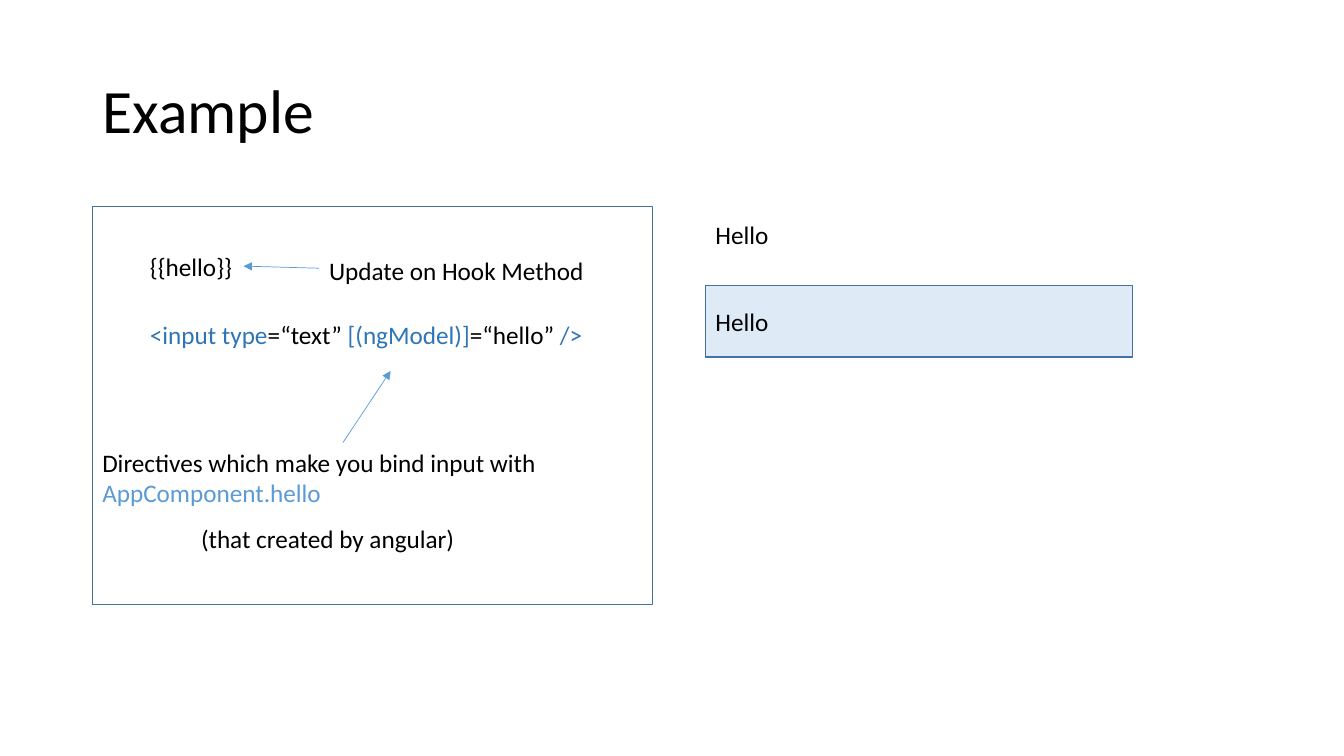
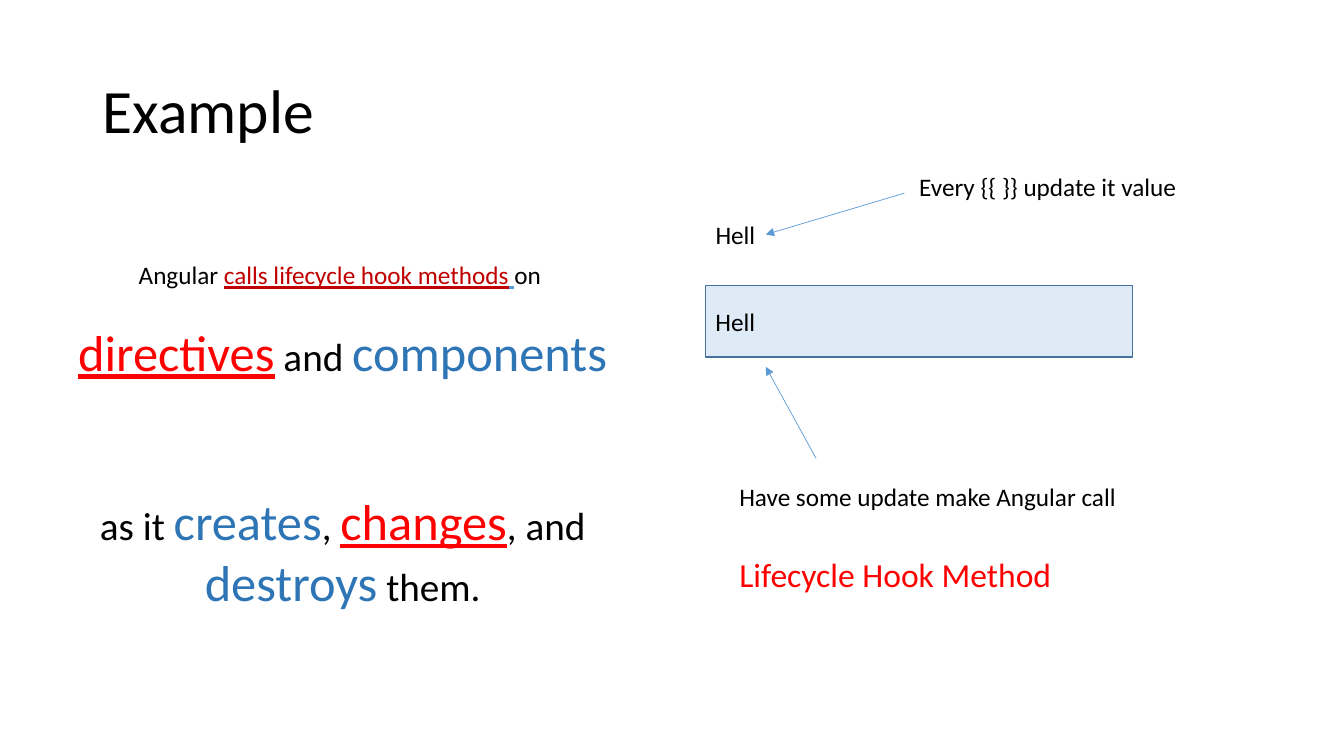
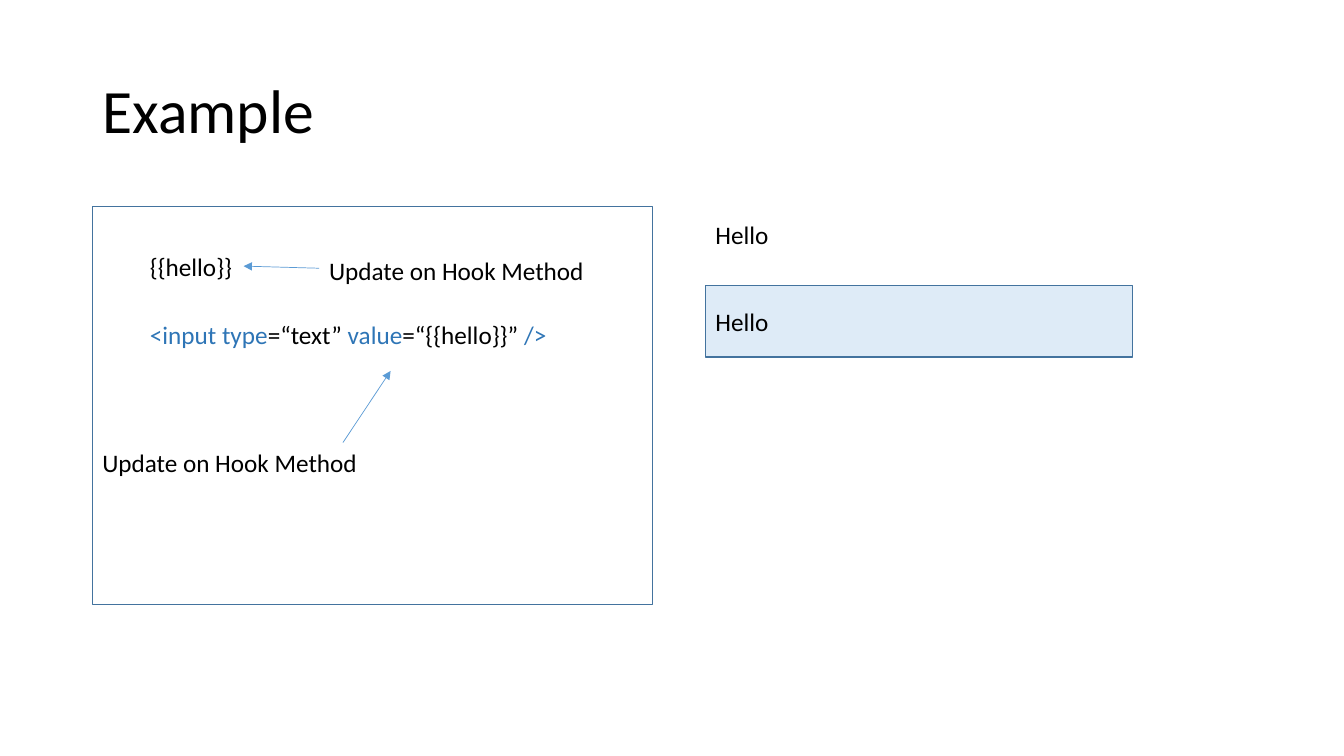
import pptx
import pptx.util
import pptx.dml.color
import pptx.enum.shapes
import pptx.enum.text
import pptx.oxml
import pptx.oxml.ns

Pt = pptx.util.Pt
ALIGN = pptx.enum.text.PP_ALIGN
ANCHOR = pptx.enum.text.MSO_ANCHOR
FIT = pptx.enum.text.MSO_AUTO_SIZE
FONT = "Calibri"
BLACK, BLUE, SKY, PALE = "000000", "2E75B6", "5B9BD5", "DEEBF7"
EDGE, RED, DARK = "43739E", "FF0000", "C00000"
LINE = 29
TITLE = (66, 29, 828, 104)
PANEL = (66, 147.6, 400, 284.4)
RESULT = (504, 153, 305, 102)
CLAIM = (21.6, 182, 446.4, 259)


def paint(form, tone):
    """Give a fill, line or font its colour from a hex string."""
    form.rgb = pptx.dml.color.RGBColor.from_string(tone)


def style(item, form):
    """Set each attribute of an item from a dict."""
    for name, value in form.items():
        setattr(item, name, value)


def write(frame, paras, form=None, align=ALIGN.LEFT):
    """Fill a text frame with (space before, runs) paragraphs."""
    style(frame, form or {})
    for index, (gap, runs) in enumerate(paras):
        para = frame.add_paragraph() if index else frame.paragraphs[0]
        style(para, {"alignment": align, "space_before": Pt(gap)})
        for text, tone, size, under in runs:
            run = para.add_run()
            run.text = text
            style(run.font, {"name": FONT, "size": Pt(size), "underline": under})
            paint(run.font.color, tone)


def bit(text, tone=BLACK, size=18, under=False):
    """Return one run of text with its look."""
    return text, tone, size, under


def label(slide, box, paras, wrap=False, align=ALIGN.LEFT):
    """Add a text box that fits its text."""
    shape = slide.shapes.add_textbox(*map(Pt, box))
    form = {"word_wrap": wrap, "auto_size": FIT.SHAPE_TO_FIT_TEXT}
    write(shape.text_frame, paras, form, align)
    return shape


def frame(slide, box, fill=None):
    """Add an outlined rectangle."""
    kind = pptx.enum.shapes.MSO_SHAPE.RECTANGLE
    shape = slide.shapes.add_shape(kind, *map(Pt, box))
    shape.shadow.inherit = False
    if fill:
        shape.fill.solid()
        paint(shape.fill.fore_color, fill)
    else:
        shape.fill.background()
    paint(shape.line.color, EDGE)
    shape.line.width = Pt(1)
    return shape


def arrow(slide, start, end, goal=None):
    """Draw an arrow, joined to the right side of a goal if given."""
    kind = pptx.enum.shapes.MSO_CONNECTOR.STRAIGHT
    link = slide.shapes.add_connector(kind, *map(Pt, start + end))
    if goal is not None:
        link.end_connect(goal, 3)
    paint(link.line.color, SKY)
    link.line.width = Pt(0.5)
    space = pptx.oxml.ns.nsdecls("a")
    props = link._element.spPr
    tip = f'<a:tailEnd {space} type="triangle"/>'
    props.find(pptx.oxml.ns.qn("a:ln")).append(pptx.oxml.parse_xml(tip))
    props.append(pptx.oxml.parse_xml(f"<a:effectLst {space}/>"))


def start(deck):
    """Add a slide with the shared title."""
    slide = deck.slides.add_slide(deck.slide_layouts[5])
    title = slide.shapes.title
    sides = ("left", "top", "width", "height")
    style(title, dict(zip(sides, map(Pt, TITLE))))
    form = {"vertical_anchor": ANCHOR.MIDDLE, "word_wrap": True,
            "auto_size": FIT.NONE}
    write(title.text_frame, [(0, [bit("Example", size=44)])], form)
    title.text_frame.paragraphs[0].line_spacing = 0.9
    return slide


def panel(slide, box, tag, wide, note, extra=None):
    """Draw the template code with its remarks."""
    x, y, w, h = box
    frame(slide, box)
    code = label(slide, (x + 34, y + 28, 74, LINE), [(0, [bit("{{hello}}")])])
    label(slide, (x + 34, y + 77, wide, LINE), [(0, tag)])
    arrow(slide, (x + 179, y + 168.5), (x + 213, y + 117.4))
    label(slide, (x, y + 168.5, 379.5, LINE), [(0, note)], True)
    if extra:
        label(slide, (x + 70.5, y + 222.5, 198, LINE), [(0, [bit(extra)])])
    arrow(slide, (x + 162, y + 44), (x + 108, y + 42.5), code)
    hook = [(0, [bit("Update on Hook Method")])]
    label(slide, (x + 162, y + 31, 198.7, LINE), hook)


def result(slide, box, word, wide):
    """Draw the shown word and the input field, and return the word."""
    x, y, w, h = box
    field = frame(slide, (x, y + h / 2, w, h / 2), PALE)
    paras = [(0, [bit(word)])]
    write(field.text_frame, paras, {"vertical_anchor": ANCHOR.MIDDLE})
    return label(slide, (x, y, wide, LINE), paras)


def claim(slide, box):
    """Write the statement on lifecycle hooks."""
    label(slide, box, [
        (0, [bit("Angular "),
             bit("calls lifecycle hook methods", DARK, under=True),
             bit(" ", SKY, under=True), bit("on ")]),
        (22, [bit("directives", RED, 36, True), bit(" and ", size=28),
              bit("components", BLUE, 36)]),
        (78, [bit("as it ", size=28), bit("creates", BLUE, 36),
              bit(", ", size=28), bit("changes", RED, 36, True),
              bit(", and ", size=28), bit("destroys", BLUE, 36),
              bit(" them.", size=28)]),
    ], True, ALIGN.CENTER)


def notes(slide, box, echo):
    """Add the remarks around the result."""
    x, y, w, h = box
    arrow(slide, (x + 142, y - 15), (x + 43, y + 14.5), echo)
    every = [(0, [bit("Every {{ }} update it value")])]
    label(slide, (x + 145.5, y - 34, 200, LINE), every)
    arrow(slide, (x + 79, y + 174.5), (x + 43, y + 109))
    label(slide, (x + 17, y + 181, 292, 94), [
        (0, [bit("Have some update make Angular call"), bit(" ", SKY, 24)]),
        (29.3, [bit("Lifecycle Hook Method", RED, 24)]),
    ])


def code(deck, name, value, wide, note, extra=None):
    """Build a slide with template code and its result."""
    slide = start(deck)
    tag = [bit("<input type", BLUE), bit("=“text” "), bit(name, BLUE),
           bit(f"=“{value}” "), bit("/>", BLUE)]
    panel(slide, PANEL, tag, wide, note, extra)
    result(slide, RESULT, "Hello", 52.5)


def cycle(deck):
    """Build the slide on lifecycle hooks."""
    slide = start(deck)
    claim(slide, CLAIM)
    notes(slide, RESULT, result(slide, RESULT, "Hell", 43))


def main():
    """Build and save the deck."""
    deck = pptx.Presentation()
    style(deck, {"slide_width": Pt(960), "slide_height": Pt(540)})
    bind = [bit("Directives which make you bind input with "),
            bit("AppComponent.hello", SKY)]
    code(deck, "[(ngModel)]", "hello", 327, bind, "(that created by angular)")
    cycle(deck)
    code(deck, "value", "{{hello}}", 301, [bit("Update on Hook Method")])
    deck.save("out.pptx")


if __name__ == "__main__":
    main()
